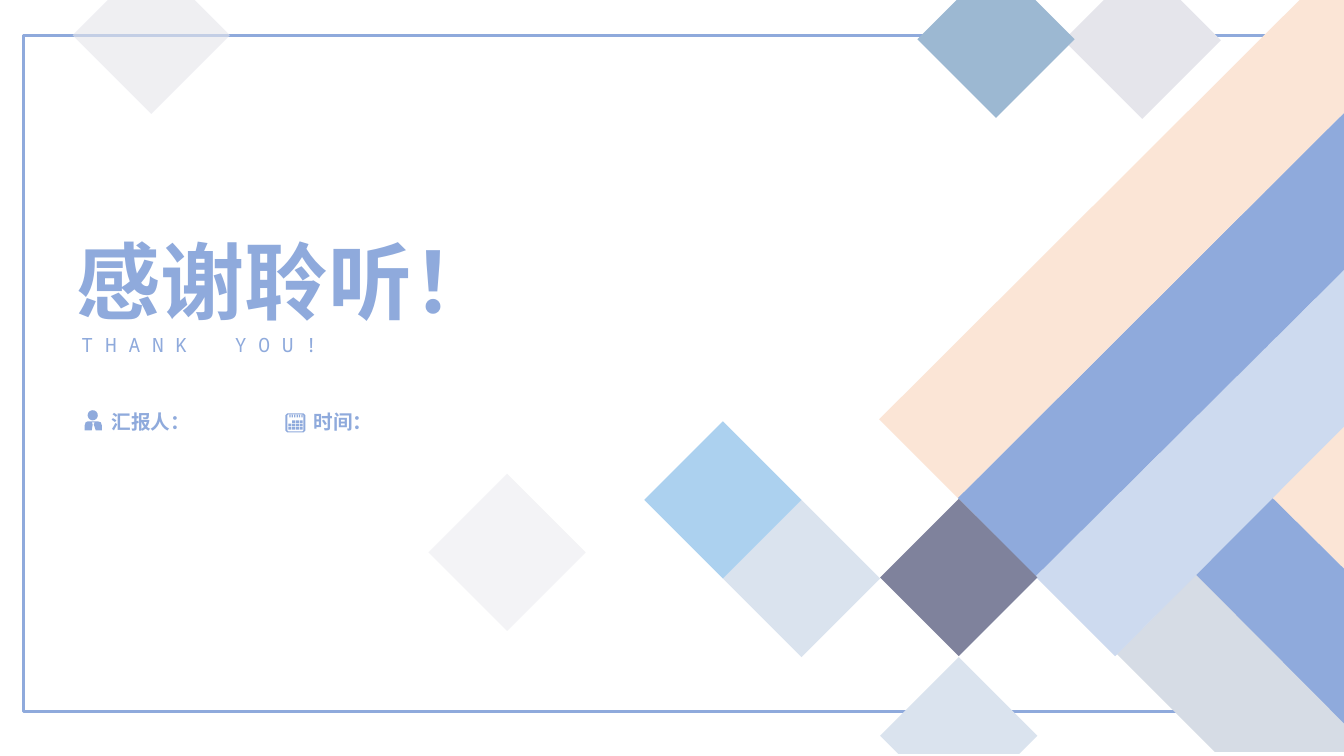
from math import cos, pi, sin

from lxml import etree
from pptx import Presentation
from pptx.dml.color import RGBColor
from pptx.enum import shapes, text
from pptx.oxml import ns
from pptx.util import Inches, Pt

BLUE = RGBColor(0x8F, 0xAA, 0xDC)
PALE_BLUE = RGBColor(0xCD, 0xDA, 0xEF)
SKY = RGBColor(0xAC, 0xD1, 0xEF)
STEEL = RGBColor(0x9C, 0xB8, 0xD2)
MIST = RGBColor(0xDA, 0xE3, 0xEE)
SLATE = RGBColor(0x7F, 0x82, 0x9C)
PEACH = RGBColor(0xFB, 0xE5, 0xD6)
GREY = RGBColor(0xD6, 0xDC, 0xE5)
LILAC = RGBColor(0xE5, 0xE5, 0xEB)
PALE_LILAC = RGBColor(0xF3, 0xF3, 0xF6)
CJK_FONT = "Noto Sans CJK SC"


def draw_outline(contours, color):
    """Draw one filled shape; a contour inside another makes a hole."""
    builder = None
    for first, *rest in contours:
        start = [Inches(v) for v in first]
        if builder is None:
            builder = slide.shapes.build_freeform(*start, scale=1.0)
        else:
            builder.move_to(*start)
        builder.add_line_segments([(Inches(x), Inches(y)) for x, y in rest], close=True)
    outline = builder.convert_to_shape()
    outline.shadow.inherit = False
    outline.fill.solid()
    outline.fill.fore_color.rgb = color
    outline.line.fill.background()


def write_text(box, words, size=14, font=CJK_FONT, bold=False, spacing=0):
    """Append one run to the first paragraph of the box."""
    frame = box.text_frame
    frame.word_wrap = True
    frame.auto_size = text.MSO_AUTO_SIZE.NONE
    frame.vertical_anchor = text.MSO_ANCHOR.TOP
    paragraph = frame.paragraphs[0]
    paragraph.alignment = text.PP_ALIGN.LEFT
    run = paragraph.add_run()
    run.text = words
    run.font.size = Pt(size)
    run.font.bold = bold
    run.font.name = font
    run.font.color.rgb = BLUE
    props = run.font._element
    etree.SubElement(props, ns.qn("a:ea")).set("typeface", CJK_FONT)
    if spacing:
        props.set("spc", str(round(spacing * 100)))


deck = Presentation()
deck.slide_width, deck.slide_height = Inches(13.33), Inches(7.5)
slide = deck.slides.add_slide(deck.slide_layouts[5])

# Border
border = slide.shapes.add_shape(
    shapes.MSO_SHAPE.RECTANGLE, Inches(0.23), Inches(0.35), Inches(12.33), Inches(6.71))
border.shadow.inherit = False
border.fill.background()
border.line.color.rgb = BLUE
border.line.width = Pt(2.25)

# Diagonal bands and the clipped diamond at the bottom edge
bands = [
    (PEACH, [(12.6, 4.92), (13.58, 5.89), (13.58, 4.34), (13.39, 4.15)]),
    (BLUE, [(12.6, 4.92), (11.83, 5.7), (13.58, 7.46), (13.58, 5.89)]),
    (GREY, [(11.08, 6.49), (12.05, 7.46), (13.61, 7.46), (11.86, 5.7)]),
    (PALE_BLUE, [(13.59, 3.97), (13.59, 2.42), (10.27, 5.72), (11.06, 6.51)]),
    (BLUE, [(10.27, 5.72), (13.59, 2.42), (13.59, 0.86), (9.5, 4.94)]),
    (PEACH, [(13.59, 0.86), (13.59, 0), (12.89, 0), (8.72, 4.16), (9.5, 4.94)]),
    (MIST, [(9.51, 6.52), (8.73, 7.3), (8.91, 7.48), (10.11, 7.48), (10.29, 7.3)]),
]
for color, corners in bands:
    draw_outline([corners], color)

# Diamonds: centre, colour, opacity in percent
HALF = 0.78
diamonds = [
    (11.33, 0.4, LILAC, 100), (9.88, 0.39, STEEL, 100), (7.95, 5.74, MIST, 100),
    (7.17, 4.96, SKY, 100), (9.51, 5.73, SLATE, 100), (5.03, 5.48, PALE_LILAC, 100),
    (1.5, 0.35, LILAC, 61),
]
for x, y, color, opacity in diamonds:
    diamond = slide.shapes.add_shape(
        shapes.MSO_SHAPE.DIAMOND, Inches(x - HALF), Inches(y - HALF),
        Inches(2 * HALF), Inches(2 * HALF))
    diamond.shadow.inherit = False
    diamond.fill.solid()
    diamond.fill.fore_color.rgb = color
    diamond.line.fill.background()
    if opacity < 100:
        tint = diamond._element.spPr.find(ns.qn("a:solidFill"))[0]
        etree.SubElement(tint, ns.qn("a:alpha")).set("val", str(opacity * 1000))

# Presenter icon: head, then shoulders with a tie
head = [(0.92 + 0.05 * cos(i * pi / 12), 4.12 + 0.05 * sin(i * pi / 12)) for i in range(24)]
shoulders = [
    (0.84, 4.27), (0.84, 4.22), (0.85, 4.19), (0.87, 4.18), (0.97, 4.18), (1.0, 4.19),
    (1.01, 4.22), (1.01, 4.27), (0.95, 4.27), (0.93, 4.21), (0.94, 4.19), (0.91, 4.19),
    (0.92, 4.21), (0.91, 4.27),
]
draw_outline([head, shoulders], BLUE)

# Calendar icon: rounded rim, rings and day cells
calendar = []
for left, top, right, bottom, cut in [(2.83, 4.1, 3.03, 4.29, 0.02), (2.85, 4.11, 3.01, 4.28, 0.01)]:
    calendar.append([
        (left + cut, top), (right - cut, top), (right, top + cut), (right, bottom - cut),
        (right - cut, bottom), (left + cut, bottom), (left, bottom - cut), (left, top + cut)])
cells = [(2.87 + 0.024 * i, 4.115, 0.012, 0.025) for i in range(6)]
cells += [(2.86 + 0.037 * col, 4.17 + 0.033 * row, 0.03, 0.025)
          for row in range(3) for col in range(4) if row or col]
for x, y, w, h in cells:
    calendar.append([(x, y), (x + w, y), (x + w, y + h), (x, y + h)])
draw_outline([*calendar], BLUE)

# Presenter and date labels
for left, width, label in [(1.01, 2.04, "汇报人："), (3.01, 2.55, "时间：")]:
    box = slide.shapes.add_textbox(Inches(left), Inches(4.02), Inches(width), Inches(0.34))
    write_text(box, label, font="Arial", bold=True)

# Title and subtitle
title = slide.shapes.title
title.left, title.top, title.width, title.height = (
    Inches(0.66), Inches(2.23), Inches(9.22), Inches(1.11))
write_text(title, "感谢聆听！", size=60, bold=True)

subtitle = slide.shapes.add_textbox(Inches(0.71), Inches(3.25), Inches(7.49), Inches(0.34))
for words, spacing in [("T H A N K", 0), (" ", 25.2), ("Y O U !", 0)]:
    write_text(subtitle, words, font="Noto Sans Mono", spacing=spacing)

deck.save("out.pptx")
